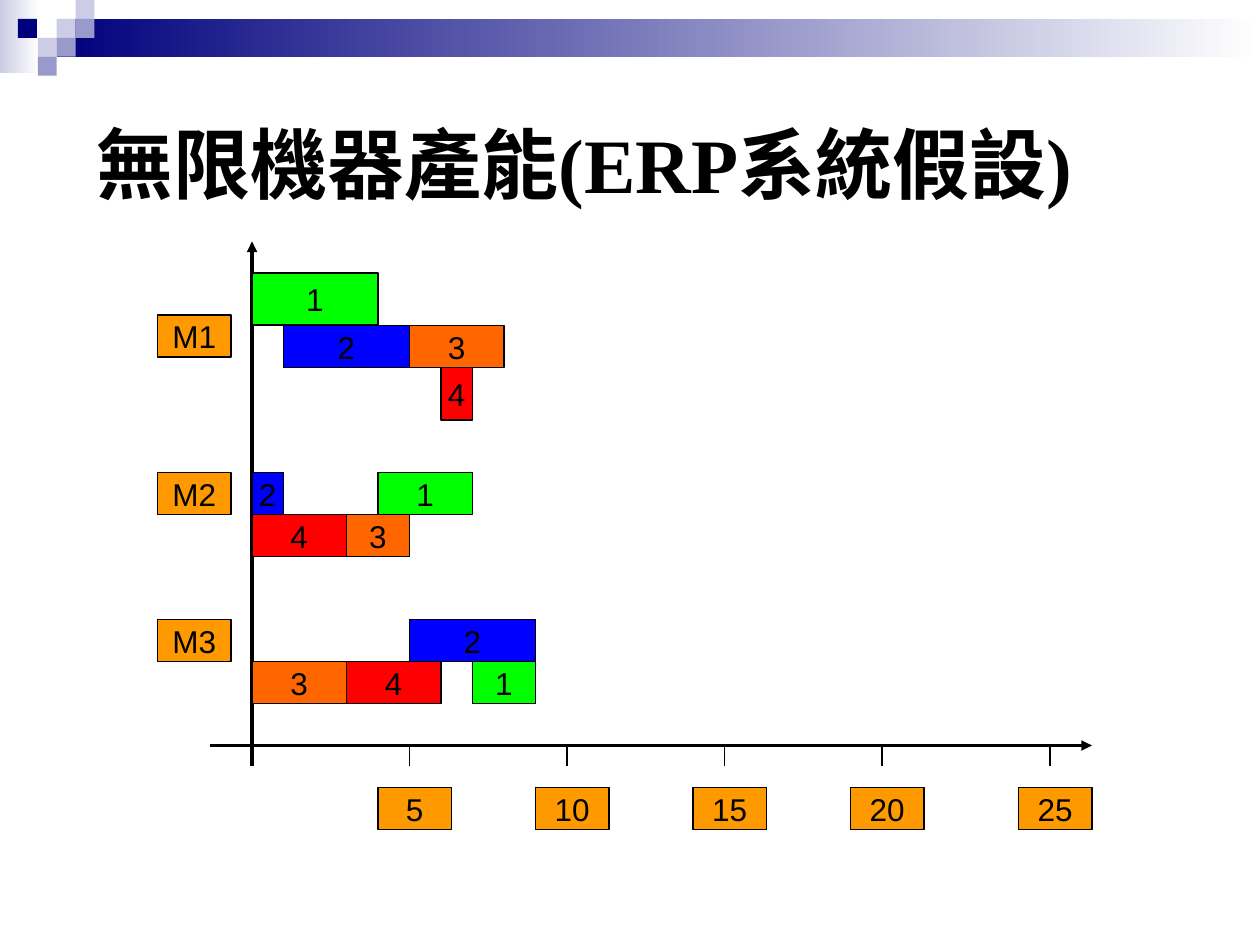
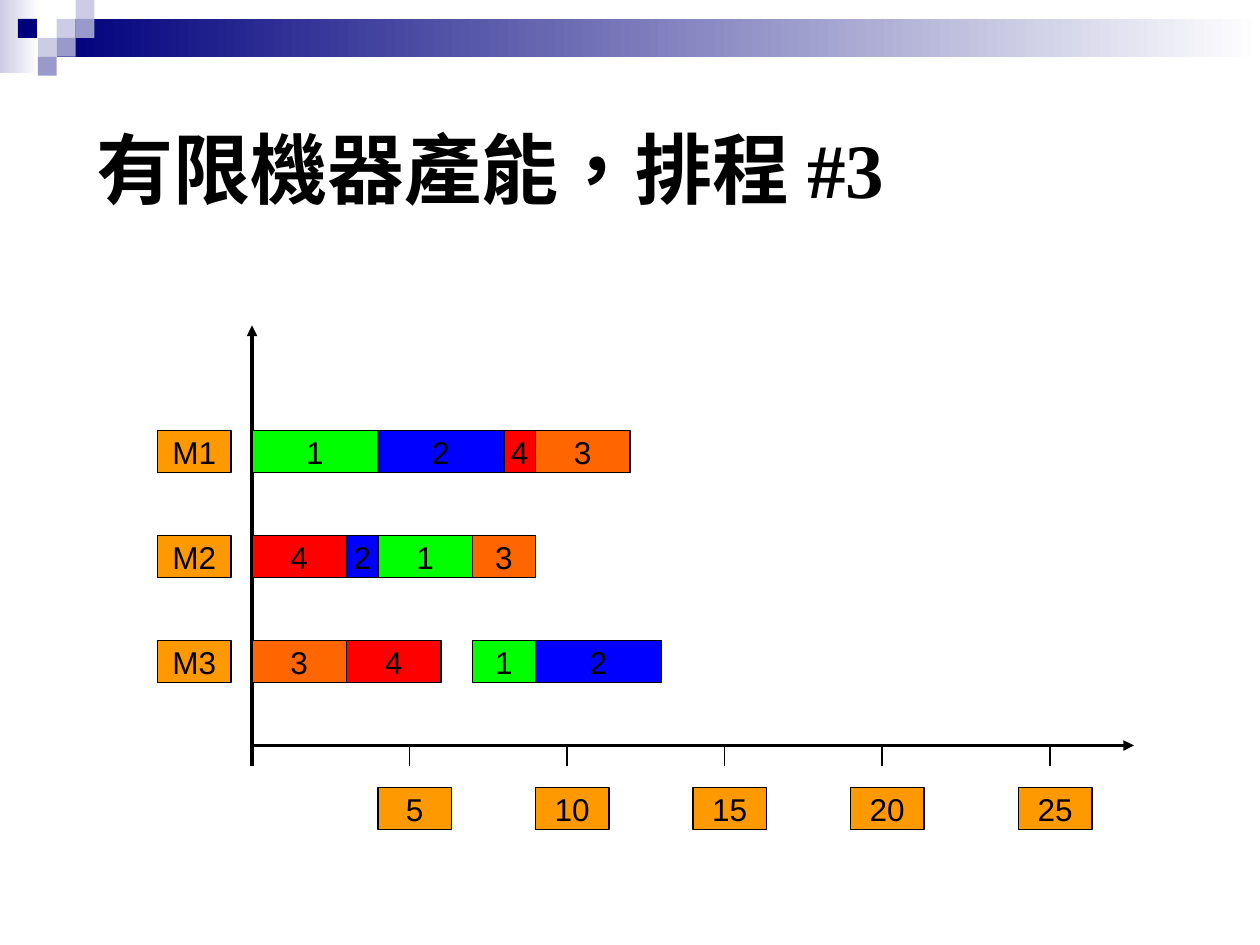
from dataclasses import dataclass
from lxml.etree import SubElement
from pptx import Presentation
from pptx.dml.color import RGBColor
from pptx.enum.lang import MSO_LANGUAGE_ID
from pptx.enum.shapes import MSO_CONNECTOR, MSO_SHAPE
from pptx.enum.text import MSO_ANCHOR, PP_ALIGN
from pptx.oxml.ns import qn
from pptx.util import Inches, Pt


@dataclass(frozen=True)
class Theme:
    ink: str = "000000"
    paper: str = "FFFFFF"
    navy: str = "00007D"
    lilac: str = "9999CC"
    mist: str = "CCCCE6"
    label: str = "FF9900"
    jobs: tuple = ("00FF00", "0000FF", "FF6600", "FF0000")
    title_font: str = "Times New Roman"
    body_font: str = "Arial"
    title_size: int = 44
    body_size: int = 18
    axis_width: int = 2
    thin_width: int = 1


@dataclass(frozen=True)
class Box:
    left: float
    top: float
    columns: float
    rows: float
    cell: float

    def area(self, column, row, columns, rows):
        return Box(self.left + column * self.cell, self.top + row * self.cell,
                   columns, rows, self.cell)

    def point(self, column, row):
        return Inches(self.left + column * self.cell), Inches(self.top + row * self.cell)

    def frame(self):
        return (*self.point(0, 0), Inches(self.columns * self.cell),
                Inches(self.rows * self.cell))


THEME = Theme()
WIDTH, HEIGHT = 10, 7.5
GRID = 1 / 12
MOSAIC = 0.15
LABEL_COLUMNS, LABEL_ROWS = 7, 4
ORIGIN_COLUMN, UNIT_COLUMNS = 9, 3
TICKS = {5: 24, 10: 39, 15: 54, 20: 69, 25: 85}


def write(text_frame, text, *, font=THEME.body_font, size=THEME.body_size,
          bold=False, align=PP_ALIGN.CENTER, wrap=False):
    text_frame.word_wrap = wrap
    text_frame.vertical_anchor = MSO_ANCHOR.MIDDLE
    paragraph = text_frame.paragraphs[0]
    paragraph.alignment = align
    run = paragraph.add_run()
    run.text = text
    run.font.name = font
    run.font.size = Pt(size)
    run.font.bold = bold
    run.font.color.rgb = RGBColor.from_string(THEME.ink)
    return run


def draw_block(slide, box, *colours, outlined=False):
    block = slide.shapes.add_shape(MSO_SHAPE.RECTANGLE, *box.frame())
    block.shadow.inherit = False
    if len(colours) == 1:
        block.fill.solid()
        block.fill.fore_color.rgb = RGBColor.from_string(colours[0])
    else:
        block.fill.gradient()
        block.fill.gradient_angle = 0
        for stop, colour in zip(block.fill.gradient_stops, colours):
            stop.color.rgb = RGBColor.from_string(colour)
    if outlined:
        block.line.color.rgb = RGBColor.from_string(THEME.ink)
        block.line.width = Pt(THEME.thin_width)
    else:
        block.line.fill.background()
    return block


def draw_tile(slide, box, text, colour):
    tile = draw_block(slide, box, colour, outlined=True)
    write(tile.text_frame, text)


def draw_line(slide, start, end, width, arrow=False):
    connector = slide.shapes.add_connector(MSO_CONNECTOR.STRAIGHT, *start, *end)
    connector.line.color.rgb = RGBColor.from_string(THEME.ink)
    connector.line.width = Pt(width)
    properties = connector.element.spPr
    if arrow:
        SubElement(properties.find(qn("a:ln")), qn("a:tailEnd"), type="triangle")
    SubElement(properties, qn("a:effectLst"))


def draw_header(slide, box):
    draw_block(slide, box.area(0, 0, 2.07, 3.87), THEME.mist, THEME.paper)
    draw_block(slide, box.area(3, 1, box.columns - 3, 2), THEME.navy, THEME.paper)
    squares = ((3, 1, THEME.mist), (4, 0, THEME.mist), (4, 1, THEME.lilac),
               (2, 2, THEME.mist), (0.95, 1, THEME.navy), (3, 2, THEME.lilac),
               (2, 3, THEME.lilac))
    for column, row, colour in squares:
        draw_block(slide, box.area(column, row, 1, 1), colour)


def share_header(deck, slide):
    draw_header(slide, Box(0, 0, WIDTH / MOSAIC, 4, MOSAIC))
    master_tree = deck.slide_master.element.cSld.spTree
    for offset, ornament in enumerate(list(slide.shapes)):
        master_tree.insert(2 + offset, ornament.element)


def draw_title(slide, box, text):
    title = slide.shapes.add_textbox(*box.frame())
    run = write(title.text_frame, text, font=THEME.title_font, size=THEME.title_size,
                bold=True, align=PP_ALIGN.LEFT, wrap=True)
    run.font.language_id = MSO_LANGUAGE_ID.TRADITIONAL_CHINESE


def draw_axes(slide, box, axis_start):
    axis_row = box.rows - 8
    foot_row = axis_row + 2
    draw_line(slide, box.point(axis_start, axis_row),
              box.point(box.columns, axis_row), THEME.axis_width, arrow=True)
    draw_line(slide, box.point(ORIGIN_COLUMN, foot_row),
              box.point(ORIGIN_COLUMN, 0), THEME.axis_width, arrow=True)
    for time, column in TICKS.items():
        draw_line(slide, box.point(column, foot_row),
                  box.point(column, axis_row), THEME.thin_width)
        draw_tile(slide, box.area(column - 3, box.rows - LABEL_ROWS,
                                  LABEL_COLUMNS, LABEL_ROWS), str(time), THEME.label)


def draw_lane(slide, box, operations):
    for job, start, end in operations:
        draw_tile(slide, box.area(start * UNIT_COLUMNS, 0,
                                  (end - start) * UNIT_COLUMNS, box.rows),
                  str(job), THEME.jobs[job - 1])


def draw_schedule(slide, box, axis_start, machines):
    draw_axes(slide, box, axis_start)
    for machine, (label_row, lanes) in machines.items():
        draw_tile(slide, box.area(0, label_row, LABEL_COLUMNS, LABEL_ROWS),
                  machine, THEME.label)
        for row, rows, operations in lanes:
            draw_lane(slide, box.area(ORIGIN_COLUMN, row, box.columns - ORIGIN_COLUMN, rows),
                      operations)


INFINITE_CAPACITY = {
    "M1": (7, [(3, 5, [(1, 0, 4)]),
               (8, 4, [(2, 1, 5), (3, 5, 8)]),
               (12, 5, [(4, 6, 7)])]),
    "M2": (22, [(22, 4, [(2, 0, 1), (1, 4, 7)]),
                (26, 4, [(4, 0, 3), (3, 3, 5)])]),
    "M3": (36, [(36, 4, [(2, 5, 9)]),
                (40, 4, [(3, 0, 3), (4, 3, 6), (1, 7, 9)])]),
}
FINITE_CAPACITY = {
    "M1": (10, [(10, 4, [(1, 0, 4), (2, 4, 8), (4, 8, 9), (3, 9, 12)])]),
    "M2": (20, [(20, 4, [(4, 0, 3), (2, 3, 4), (1, 4, 7), (3, 7, 9)])]),
    "M3": (30, [(30, 4, [(3, 0, 3), (4, 3, 6), (1, 7, 9), (2, 9, 13)])]),
}
PAGE = Box(0, 0, WIDTH / GRID, HEIGHT / GRID, GRID)
PAGES = (
    ("無限機器產能(ERP系統假設)", PAGE.area(8, 8, 104, 15),
     PAGE.area(15, 23, 89, 56), 5, INFINITE_CAPACITY),
    ("有限機器產能，排程 #3", PAGE.area(8, 8, 105, 16),
     PAGE.area(15, 31, 93, 48), ORIGIN_COLUMN, FINITE_CAPACITY),
)

deck = Presentation()
deck.slide_width, deck.slide_height = Inches(WIDTH), Inches(HEIGHT)
blank = deck.slide_layouts[6]
for number, (heading, title_box, schedule_box, axis_start, machines) in enumerate(PAGES):
    slide = deck.slides.add_slide(blank)
    if number == 0:
        share_header(deck, slide)
    draw_title(slide, title_box, heading)
    draw_schedule(slide, schedule_box, axis_start, machines)
deck.save("out.pptx")
